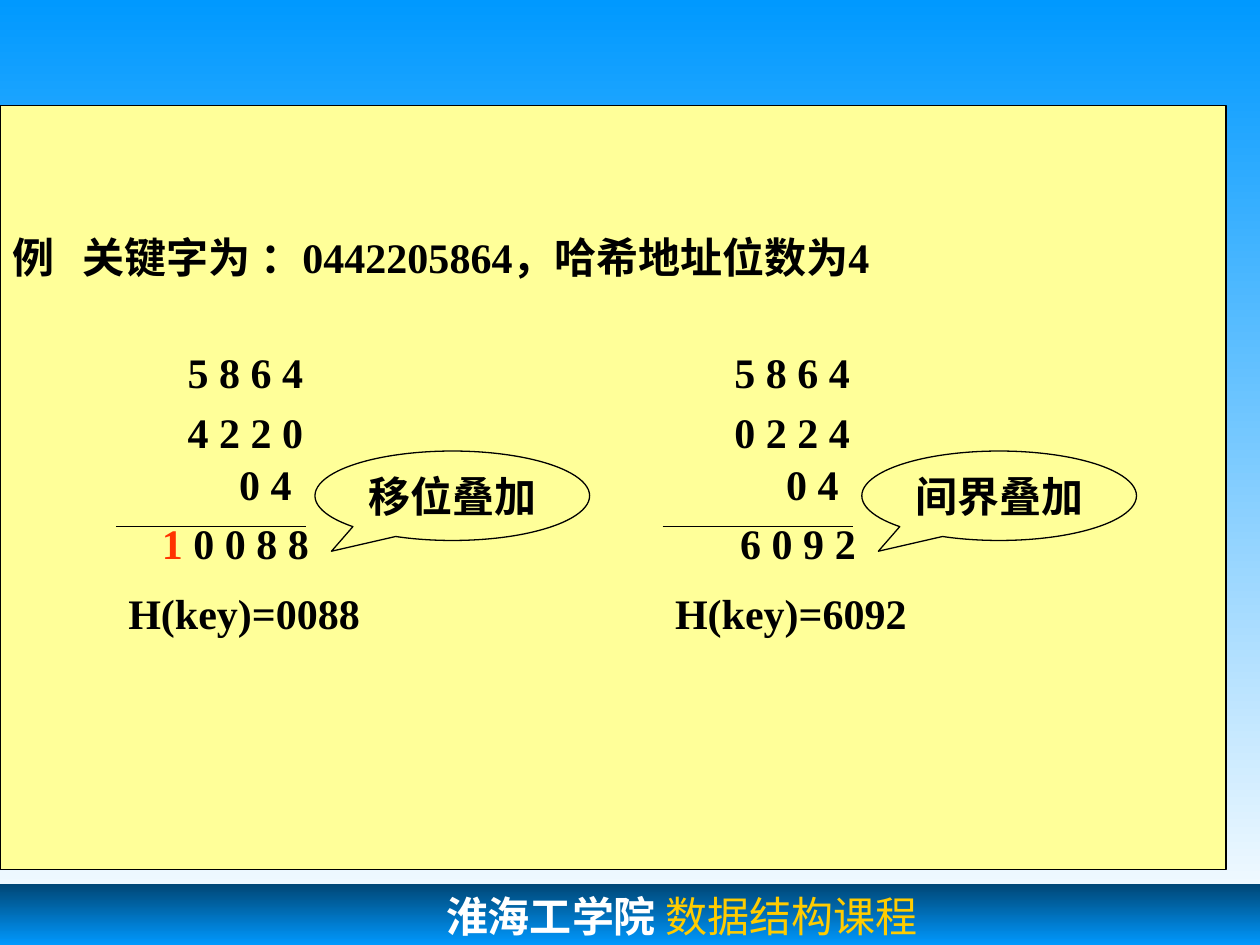
from copy import deepcopy

from lxml import etree
from pptx import Presentation
from pptx import util as u
from pptx.dml.color import RGBColor
from pptx.enum import shapes, text
from pptx.oxml.ns import qn

Inches = u.Inches
LEFT, RIGHT = text.PP_ALIGN.LEFT, text.PP_ALIGN.RIGHT


def color(target, value):
    target.rgb = RGBColor.from_string(value)


def add_span(para, words, shade="000000", bold=True, font="Times New Roman"):
    span = para.add_run()
    span.text = words
    span.font.size = u.Pt(24)
    span.font.name = font
    span.font.bold = bold
    color(span.font.color, shade)


deck = Presentation()
deck.slide_width, deck.slide_height = Inches(10), Inches(7.5)
page = deck.slides.add_slide(deck.slide_layouts[6])

footer = page.shapes.add_shape(shapes.MSO_SHAPE.RECTANGLE, Inches(0), Inches(7.02), Inches(10), Inches(0.97))
footer.shadow.inherit = False
footer.line.fill.background()

for fill, shades in (
    (page.background.fill, ["0099FF", "FFFFFF"]),
    (footer.fill, ["004776", "0099FF", "004776"]),
):
    fill.gradient()
    fill.gradient_angle = 270
    stops = fill.gradient_stops
    if len(shades) == 3:
        stop_list = fill._fill._gradFill.find(qn("a:gsLst"))
        stop_list.append(deepcopy(stop_list[0]))
        stops = fill.gradient_stops
    for index, (stop, shade) in enumerate(zip(stops, shades)):
        color(stop.color, shade)
        stop.position = index / (len(shades) - 1)

frame = footer.text_frame
frame.vertical_anchor = text.MSO_ANCHOR.TOP
frame.margin_left = Inches(3.54)
para = frame.paragraphs[0]
para.alignment = LEFT
add_span(para, "淮海工学院", "FFFFFF", font="DejaVu Sans Mono")
add_span(para, " 数据结构课程", "FFCC00", bold=False)

panel = page.shapes.add_shape(shapes.MSO_SHAPE.RECTANGLE, Inches(0), Inches(0.84), Inches(9.73), Inches(6.06))
panel.shadow.inherit = False
panel.fill.solid()
color(panel.fill.fore_color, "FFFF99")
color(panel.line.color, "000000")
panel.line.width = u.Pt(0.75)
frame = panel.text_frame
frame.vertical_anchor = text.MSO_ANCHOR.TOP
frame.margin_top = Inches(1)
para = frame.paragraphs[0]
para.alignment = LEFT
tabs = etree.SubElement(para._p.get_or_add_pPr(), qn("a:tabLst"))
etree.SubElement(tabs, qn("a:tab"), pos=str(Inches(0.56)), algn="l")
add_span(para, "例\t关键字为 ：0442205864，哈希地址位数为4")

examples = [
    (0.92, "4 2 2 0", [("1", "FF3300"), (" 0 0 8 8", "000000")], "H(key)=0088", "移位叠加"),
    (5.26, "0 2 2 4", [("6 0 9 2", "000000")], "H(key)=6092", "间界叠加"),
]
for left, second, total, address, method in examples:
    rows = [
        (0.47, 2.7, 1.11, LEFT, [("5 8 6 4", "000000")]),
        (0.47, 3.18, 1.11, LEFT, [(second, "000000")]),
        (0.88, 3.59, 0.61, LEFT, [("0 4", "000000")]),
        (0.27, 4.06, 1.36, RIGHT, total),
        (0, 4.61, 2.04, LEFT, [(address, "000000")]),
    ]
    for offset, top, width, alignment, spans in rows:
        box = page.shapes.add_textbox(Inches(left + offset), Inches(top), Inches(width), Inches(0.5))
        frame = box.text_frame
        frame.word_wrap = True
        if alignment == RIGHT:
            frame.margin_left = 0
        else:
            frame.margin_right = 0
        para = frame.paragraphs[0]
        para.alignment = alignment
        for words, shade in spans:
            add_span(para, words, shade)

    rule = page.shapes.add_connector(
        shapes.MSO_CONNECTOR.STRAIGHT, Inches(left), Inches(4.18), Inches(left + 1.51), Inches(4.18)
    )
    color(rule.line.color, "000000")
    rule.line.width = u.Pt(0.75)
    etree.SubElement(rule._element.spPr, qn("a:effectLst"))

    callout = page.shapes.add_shape(
        shapes.MSO_SHAPE.OVAL_CALLOUT, Inches(left + 1.58), Inches(3.58), Inches(2.18), Inches(0.71)
    )
    callout.adjustments[0], callout.adjustments[1] = -0.44, 0.62
    callout.shadow.inherit = False
    callout.fill.background()
    color(callout.line.color, "000000")
    callout.line.width = u.Pt(0.75)
    frame = callout.text_frame
    frame.word_wrap = False
    frame.vertical_anchor = text.MSO_ANCHOR.MIDDLE
    para = frame.paragraphs[0]
    para.alignment = text.PP_ALIGN.CENTER
    add_span(para, method)

deck.save("out.pptx")
